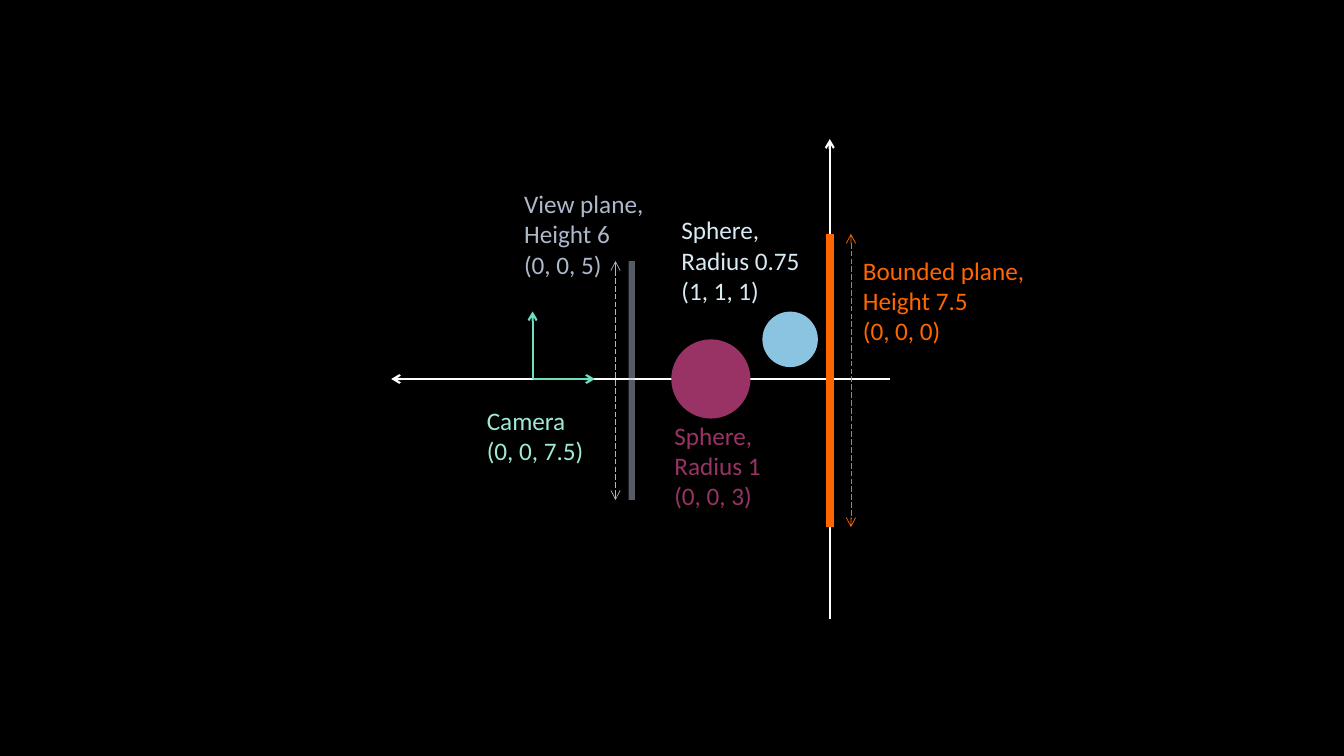
from lxml.etree import SubElement
from pptx import Presentation
from pptx.dml.color import RGBColor
from pptx.enum.dml import MSO_LINE
from pptx.enum.shapes import MSO_CONNECTOR, MSO_SHAPE
from pptx.enum.text import MSO_AUTO_SIZE
from pptx.oxml.ns import qn
from pptx.util import Inches, Pt

WHITE, ORANGE, PURPLE, BLUE = "FFFFFF", "FF6600", "993366", "8BC4E0"
PALE_BLUE, GREY, GREEN, PALE_GREEN = "D8EBF5", "ADB9CA", "70DEC1", "A0E9D6"

# Scene origin and length of one scene unit, in inches
ORIGIN_X, ORIGIN_Y, UNIT = 8.23, 3.76, 0.393
CAMERA_X = ORIGIN_X - 7.5 * UNIT

# Axes and camera arrows: start, end, colour
ARROWS = [
    ((8.83, ORIGIN_Y), (3.88, ORIGIN_Y), WHITE),
    ((ORIGIN_X, 6.14), (ORIGIN_X, 1.38), WHITE),
    ((CAMERA_X, ORIGIN_Y), (5.9, ORIGIN_Y), GREEN),
    ((CAMERA_X, ORIGIN_Y), (CAMERA_X, 3.09), GREEN),
]

# Planes: z, top, bottom, offset of the height arrow, colour, width, opacity %
PLANES = [
    (0, 2.32, 5.23, 0.21, ORANGE, 6, 100),
    (5, 2.59, 4.96, -0.16, GREY, 4.5, 50),
]

# Spheres: z, y, drawn radius in scene units, colour
SPHERES = [
    (1, 1, 0.7, BLUE),
    (3, 0, 1, PURPLE),
]

# Labels: left, top, width, height, colour, lines
LABELS = [
    (6.59, 4.12, 1.11, 1.01, PURPLE, ["Sphere,", "Radius 1", "(0, 0, 3)"]),
    (6.66, 2.08, 1.39, 1.01, PALE_BLUE, ["Sphere,", "Radius 0.75", "(1, 1, 1)"]),
    (8.46, 2.48, 1.82, 1.01, ORANGE,
     ["Bounded plane,", "Height 7.5", "(0, 0, 0)"]),
    (5.1, 1.82, 1.4, 1.01, GREY, ["View plane,", "Height 6", "(0, 0, 5)"]),
    (4.73, 3.97, 1.17, 0.71, PALE_GREEN, ["Camera", "(0, 0, 7.5)"]),
]


def rgb(color):
    return RGBColor.from_string(color)


def add_line(shapes, start, end, color, width, ends=(), dashed=False, opacity=100):
    s = shapes.add_connector(MSO_CONNECTOR.STRAIGHT,
                             *(Inches(v) for v in (*start, *end)))
    s.line.color.rgb = rgb(color)
    s.line.width = Pt(width)
    if dashed:
        s.line.dash_style = MSO_LINE.LONG_DASH
    ln = s.line._get_or_add_ln()
    if opacity < 100:
        fill_color = ln.find(".//" + qn("a:srgbClr"))
        SubElement(fill_color, qn("a:alpha"), val=str(opacity * 1000))
    for end_name in ends:
        SubElement(ln, qn("a:" + end_name), type="arrow")
    SubElement(s._element.spPr, qn("a:effectLst"))


def add_sphere(shapes, z, y, radius, color):
    s = shapes.add_shape(MSO_SHAPE.OVAL,
                         Inches(ORIGIN_X - (z + radius) * UNIT),
                         Inches(ORIGIN_Y - (y + radius) * UNIT),
                         Inches(2 * radius * UNIT), Inches(2 * radius * UNIT))
    s.shadow.inherit = False
    s.fill.solid()
    s.fill.fore_color.rgb = rgb(color)
    s.line.fill.background()


def add_label(shapes, left, top, width, height, color, lines):
    s = shapes.add_textbox(*(Inches(v) for v in (left, top, width, height)))
    tf = s.text_frame
    tf.word_wrap = False
    tf.auto_size = MSO_AUTO_SIZE.SHAPE_TO_FIT_TEXT
    tf.text = "\n".join(lines)
    for p in tf.paragraphs:
        p.font.name = "Calibri"
        p.font.size = Pt(18)
        p.font.color.rgb = rgb(color)


def main():
    prs = Presentation()
    prs.slide_width, prs.slide_height = Inches(13.33), Inches(7.5)
    slide = prs.slides.add_slide(prs.slide_layouts[6])
    slide.background.fill.solid()
    slide.background.fill.fore_color.rgb = rgb("000000")
    shapes = slide.shapes.add_group_shape().shapes

    # Axes and camera
    for start, end, color in ARROWS:
        add_line(shapes, start, end, color, 1.5, ["tailEnd"])

    # Planes with their dashed height arrows
    for z, top, bottom, offset, color, width, opacity in PLANES:
        x = ORIGIN_X - z * UNIT
        add_line(shapes, (x, top), (x, bottom), color, width, opacity=opacity)
        add_line(shapes, (x + offset, top), (x + offset, bottom), color, 0.5,
                 ["headEnd", "tailEnd"], dashed=True)

    # Spheres and labels
    for sphere in SPHERES:
        add_sphere(shapes, *sphere)
    for label in LABELS:
        add_label(shapes, *label)

    prs.save("out.pptx")


if __name__ == "__main__":
    main()
